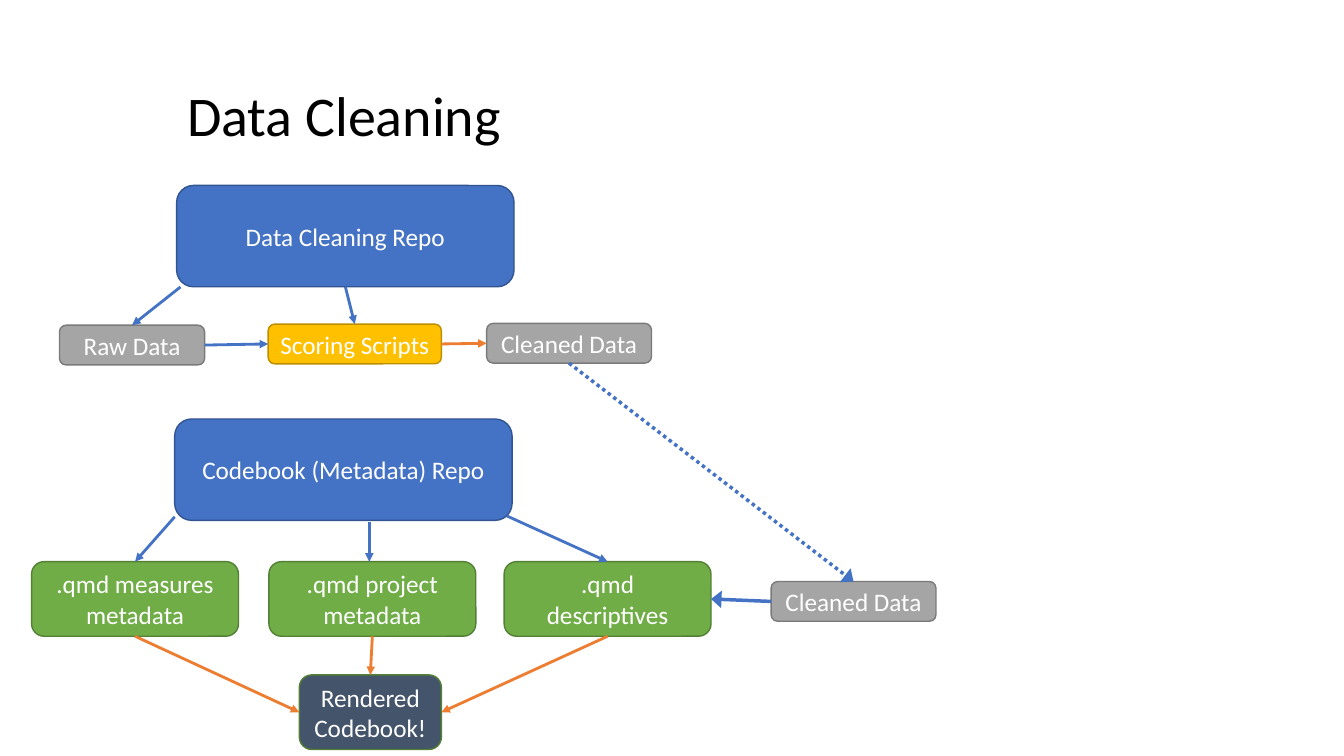
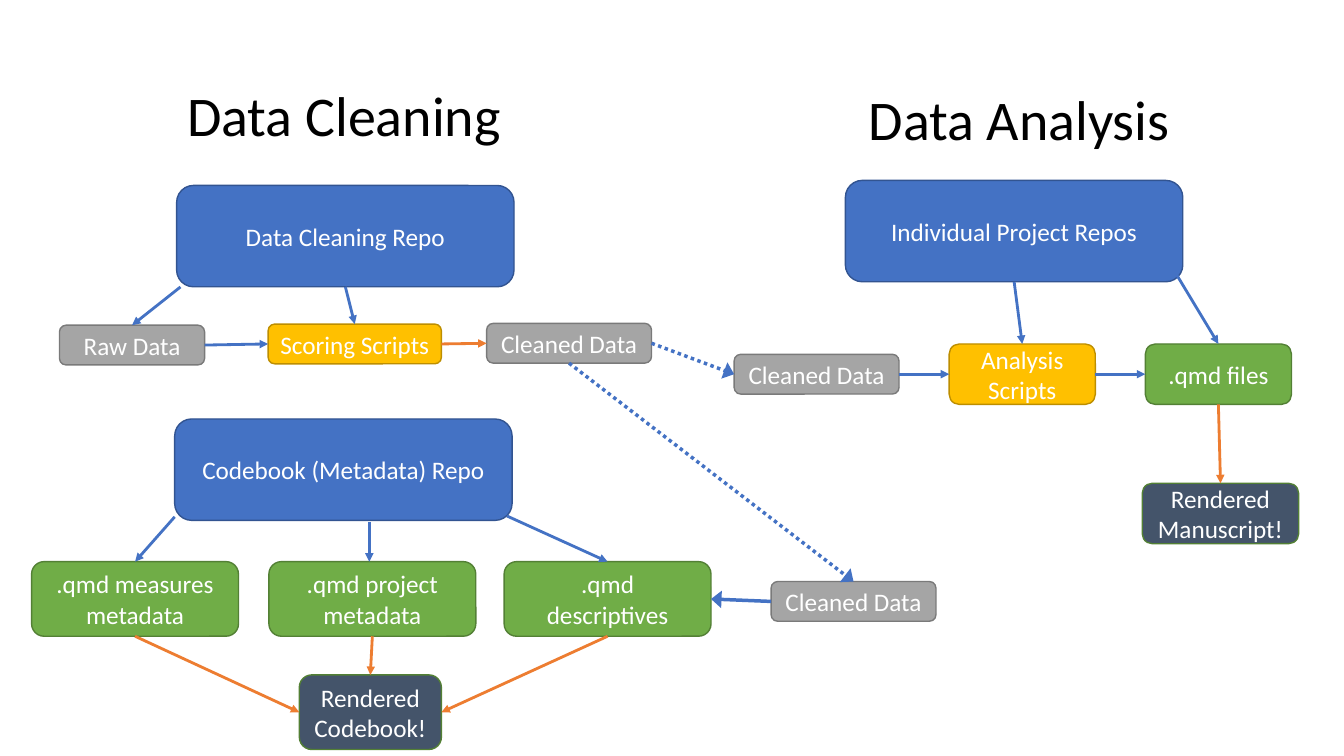
"""Build two slides showing the data cleaning and data analysis workflow."""
from dataclasses import dataclass

import pptx
import pptx.dml.color
import pptx.enum.dml
import pptx.enum.shapes
import pptx.enum.text
import pptx.oxml
import pptx.oxml.ns
import pptx.util

Pt = pptx.util.Pt
Color = pptx.dml.color.RGBColor.from_string


@dataclass(frozen=True)
class Theme:
    font: str = "Calibri"
    title_size: int = 40
    box_size: int = 18
    title_color: str = "000000"
    box_text: str = "FFFFFF"
    repo: tuple = ("4472C4", "325491")
    data: tuple = ("A5A5A5", "7A7A7A")
    script: tuple = ("FFC000", "BD8E00")
    document: tuple = ("70AD47", "538035")
    result: tuple = ("44546A", "538035")
    flow: str = "4472C4"
    output: str = "ED7D31"


theme = Theme()
TOP, LEFT, BOTTOM, RIGHT = range(4)
REPO_SIZE = (241, 72.4)
DATA_SIZE = (117.8, 28.4)
DOCUMENT_SIZE = (147.8, 53.3)
ANALYSIS_SIZE = (104.4, 43.2)
DOCUMENT_TOP = 401.2
ANALYSIS_TOP = 245.7

cleaning = {
    "titles": [("Data Cleaning", 126.7, 54, 240.5)],
    "boxes": [
        ("cleaning repo", "Data Cleaning Repo", theme.repo, (126.2, 132.5), REPO_SIZE),
        ("codebook repo", "Codebook (Metadata) Repo", theme.repo, (124.8, 299.3), REPO_SIZE),
        ("raw", "Raw Data", theme.data, (42.5, 232.3), (103.7, 28.4)),
        ("scoring", "Scoring Scripts", theme.script, (191.5, 231.5), (123.8, 28.4)),
        ("cleaned", "Cleaned Data", theme.data, (347.6, 231), DATA_SIZE),
        ("measures", ".qmd measures metadata", theme.document, (22.6, DOCUMENT_TOP), DOCUMENT_SIZE),
        ("project", ".qmd project metadata", theme.document, (192.1, DOCUMENT_TOP), DOCUMENT_SIZE),
        ("descriptives", ".qmd descriptives", theme.document, (360.1, DOCUMENT_TOP), DOCUMENT_SIZE),
        ("codebook data", "Cleaned Data", theme.data, (550.8, 415.4), DATA_SIZE),
        ("codebook", "Rendered Codebook!", theme.result, (213.8, 482.1), (101.5, 53.3)),
    ],
    "arrows": [
        (("cleaning repo", BOTTOM), ("scoring", TOP), theme.flow, "thin"),
        ((128.9, 205), ("raw", TOP), theme.flow, "thin"),
        ((124.8, 369.2), ("measures", TOP), theme.flow, "thin"),
        ((263.8, 373), (263.8, DOCUMENT_TOP), theme.flow, "thin"),
        ((362.2, 368.6), ("descriptives", TOP), theme.flow, "thin"),
        (("raw", RIGHT), ("scoring", LEFT), theme.flow, "thin"),
        (("scoring", RIGHT), ("cleaned", LEFT), theme.output, "thin"),
        (("cleaned", BOTTOM), ("codebook data", TOP), theme.flow, "dotted"),
        (("codebook data", LEFT), ("descriptives", RIGHT), theme.flow, "thick"),
        (("descriptives", BOTTOM), ("codebook", RIGHT), theme.output, "thin"),
        (("project", BOTTOM), ("codebook", TOP), theme.output, "thin"),
        (("measures", BOTTOM), ("codebook", LEFT), theme.output, "thin"),
    ],
}
analysis = {
    "titles": [("Data Analysis", 613.4, 56.9, 231.8)],
    "boxes": [
        ("analysis repo", "Individual Project Repos", theme.repo, (603.9, 128.9), REPO_SIZE),
        ("analysis data", "Cleaned Data", theme.data, (524.4, 253.1), DATA_SIZE),
        ("analysis scripts", "Analysis Scripts", theme.script, (678, ANALYSIS_TOP), ANALYSIS_SIZE),
        ("files", ".qmd files", theme.document, (818.1, ANALYSIS_TOP), ANALYSIS_SIZE),
        ("manuscript", "Rendered Manuscript!", theme.result, (815.9, 345.2), (111.8, 43.2)),
    ],
    "arrows": [
        (("cleaned", RIGHT), ("analysis data", LEFT), theme.flow, "dotted"),
        (("analysis repo", BOTTOM), ("analysis scripts", TOP), theme.flow, "thin"),
        (("analysis data", RIGHT), ("analysis scripts", LEFT), theme.flow, "thin"),
        (("analysis scripts", RIGHT), ("files", LEFT), theme.flow, "thin"),
        ((840.2, 195.8), ("files", TOP), theme.flow, "thin"),
        (("files", BOTTOM), ("manuscript", TOP), theme.output, "thin"),
    ],
}


def write(box, text, size, color):
    """Put one line of themed text into a box and return its paragraph."""
    box.text_frame.text = text
    para = box.text_frame.paragraphs[0]
    font = para.runs[0].font
    font.name, font.size = theme.font, Pt(size)
    font.color.rgb = Color(color)
    return para


def add_arrow(page, boxes, start, end, color, style):
    """Draw an arrow whose ends are points or (box name, side) pairs."""
    points = [(0, 0) if isinstance(stop[0], str) else stop for stop in (start, end)]
    arrow = page.shapes.add_connector(
        pptx.enum.shapes.MSO_CONNECTOR.STRAIGHT, *[Pt(value) for point in points for value in point]
    )
    for stop, connect in ((start, arrow.begin_connect), (end, arrow.end_connect)):
        if isinstance(stop[0], str):
            connect(boxes[stop[0]], stop[1])
    arrow.line.color.rgb = Color(color)
    arrow.line.width = Pt(2 if style == "thin" else 2.5)
    if style == "dotted":
        arrow.line.dash_style = pptx.enum.dml.MSO_LINE.ROUND_DOT
    head_width = "med" if style == "thin" else "lg"
    head = pptx.oxml.parse_xml(
        f'<a:tailEnd {pptx.oxml.ns.nsdecls("a")} type="triangle" w="{head_width}" len="med"/>'
    )
    arrow.line._get_or_add_ln().append(head)
    arrow._element.spPr.append(pptx.oxml.parse_xml(f'<a:effectLst {pptx.oxml.ns.nsdecls("a")}/>'))


deck = pptx.Presentation()
deck.slide_width, deck.slide_height = Pt(960), Pt(540)

for parts in ([cleaning], [cleaning, analysis]):
    page = deck.slides.add_slide(deck.slide_layouts[6])
    boxes = {}
    for part in parts:
        for text, left, top, width in part["titles"]:
            title = page.shapes.add_textbox(Pt(left), Pt(top), Pt(width), Pt(55.4))
            title.text_frame.word_wrap = False
            title.text_frame.auto_size = pptx.enum.text.MSO_AUTO_SIZE.SHAPE_TO_FIT_TEXT
            write(title, text, theme.title_size, theme.title_color)
        for name, text, (fill, outline), position, size in part["boxes"]:
            box = page.shapes.add_shape(
                pptx.enum.shapes.MSO_SHAPE.ROUNDED_RECTANGLE, *[Pt(value) for value in position + size]
            )
            box.shadow.inherit = False
            box.fill.solid()
            box.fill.fore_color.rgb = Color(fill)
            box.line.color.rgb = Color(outline)
            box.line.width = Pt(1)
            box.text_frame.word_wrap = True
            box.text_frame.vertical_anchor = pptx.enum.text.MSO_ANCHOR.MIDDLE
            para = write(box, text, theme.box_size, theme.box_text)
            para.alignment = pptx.enum.text.PP_ALIGN.CENTER
            boxes[name] = box
        for start, end, color, style in part["arrows"]:
            add_arrow(page, boxes, start, end, color, style)

deck.save("out.pptx")
